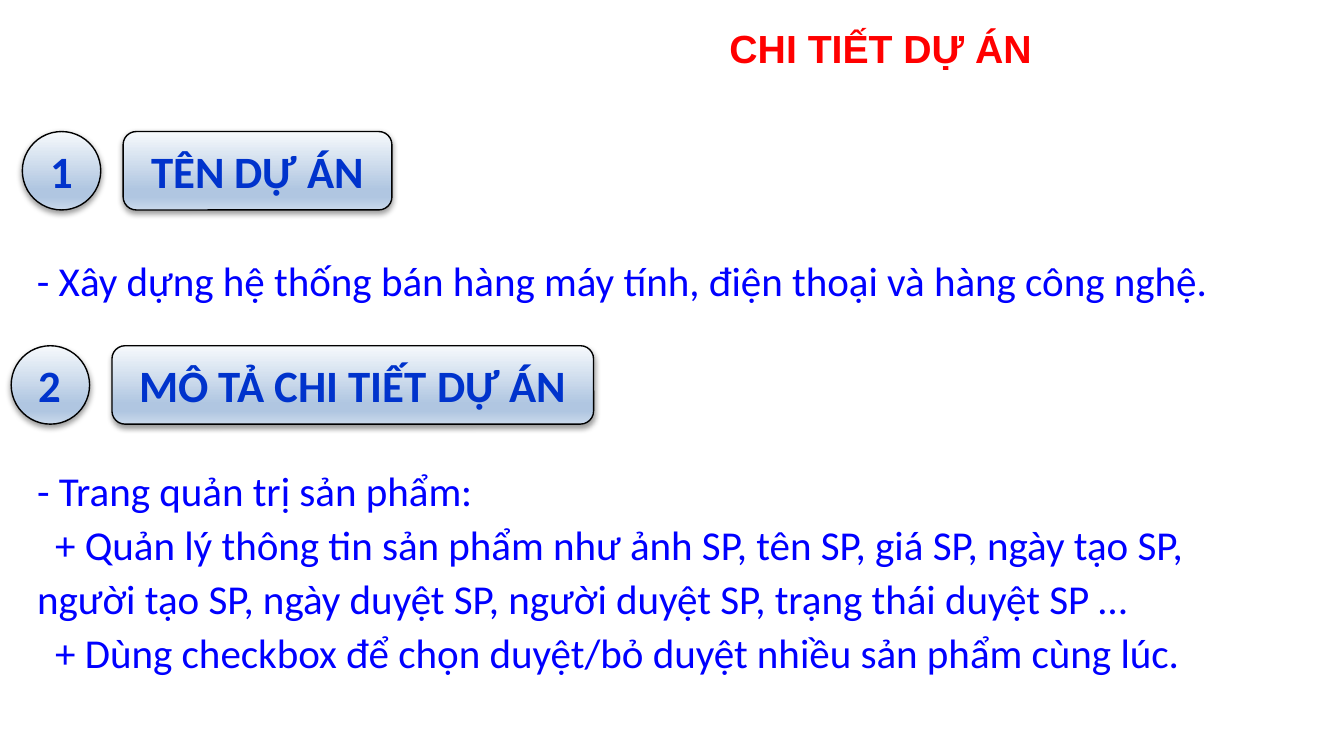
from lxml import etree
from pptx import Presentation
from pptx import util as u
from pptx.dml import color
from pptx.enum import shapes, text
from pptx.oxml import ns

PX = 9525
STOPS = [(0, "F6F9FC"), (74, "B0C6E1"), (83, "B0C6E1"), (100, "CAD9EB")]


def px(n):
    return u.Emu(n * PX)


def rgb(value):
    return color.RGBColor.from_string(value)


def add_element(parent, tag, **attrs):
    child = etree.SubElement(parent, ns.qn(tag))
    for name, value in attrs.items():
        child.set(name, str(value))
    return child


def style_runs(p, font, size, hue, bold=False):
    for r in p.runs:
        r.font.name = font
        r.font.size = u.Pt(size)
        r.font.bold = bold
        r.font.color.rgb = rgb(hue)


def set_gradient(s):
    s.fill.gradient()
    s.fill.gradient_angle = 270
    stops = s._element.spPr.find(ns.qn("a:gradFill")).find(ns.qn("a:gsLst"))
    for stop in list(stops):
        stops.remove(stop)
    for pos, hue in STOPS:
        stop = add_element(stops, "a:gs", pos=pos * 1000)
        add_element(stop, "a:srgbClr", val=hue)


def set_shadow(s):
    s.shadow.inherit = False
    effects = s._element.spPr.find(ns.qn("a:effectLst"))
    shadow = add_element(effects, "a:outerShdw", blurRad=u.Pt(3.1), dist=u.Pt(1.6),
                         dir=5400000, rotWithShape=0)
    hue = add_element(shadow, "a:srgbClr", val="000000")
    add_element(hue, "a:alpha", val=38000)


def add_badge(slide, kind, x, y, w, label):
    s = slide.shapes.add_shape(kind, px(x), px(y), px(w), px(56))
    set_gradient(s)
    s.line.color.rgb = rgb("000000")
    s.line.width = u.Pt(0.75)
    set_shadow(s)
    tf = s.text_frame
    tf.text = label
    tf.word_wrap = False
    tf.vertical_anchor = text.MSO_ANCHOR.MIDDLE
    p = tf.paragraphs[0]
    p.alignment = text.PP_ALIGN.CENTER
    style_runs(p, "Calibri", 24, "0033CC", True)


def add_heading(slide, x, y, w, number, label):
    add_badge(slide, shapes.MSO_SHAPE.ROUNDED_RECTANGLE, x + 72, y, w, label)
    add_badge(slide, shapes.MSO_SHAPE.OVAL, x, y, 56, number)


def add_body(slide, y, w, h, lines):
    tf = slide.shapes.add_textbox(px(-24), px(y), px(w), px(h)).text_frame
    tf.word_wrap = True
    tf.text = "\n".join(lines)
    for p in tf.paragraphs:
        indent = 13 if p.text.startswith("+") else 0
        p_pr = p._p.get_or_add_pPr()
        p_pr.set("marL", str(px(41)))
        p_pr.set("indent", str(px(indent)))
        p.line_spacing = 1.1
        style_runs(p, "Calibri", 22, "0000FF")


def add_title(slide, label):
    tf = slide.shapes.add_textbox(px(512), px(11), px(499), px(46)).text_frame
    tf.word_wrap = True
    tf.vertical_anchor = text.MSO_ANCHOR.MIDDLE
    tf.margin_left = tf.margin_right = px(9)
    tf.margin_top = tf.margin_bottom = px(4)
    tf.text = label
    style_runs(tf.paragraphs[0], "Arial", 21, "FF0000", True)


def main():
    prs = Presentation()
    prs.slide_width, prs.slide_height = px(960), px(540)
    slide = prs.slides.add_slide(prs.slide_layouts[6])
    add_body(slide, 174, 904, 49, [
        "- Xây dựng hệ thống bán hàng máy tính, điện thoại và hàng công nghệ.",
    ])
    add_heading(slide, 16, 94, 192, "1", "TÊN DỰ ÁN")
    add_title(slide, "CHI TIẾT DỰ ÁN")
    add_body(slide, 324, 944, 166, [
        "- Trang quản trị sản phẩm:",
        "+ Quản lý thông tin sản phẩm như ảnh SP, tên SP, giá SP, ngày tạo SP, "
        "người tạo SP, ngày duyệt SP, người duyệt SP, trạng thái duyệt SP …",
        "+ Dùng checkbox để chọn duyệt/bỏ duyệt nhiều sản phẩm cùng lúc.",
    ])
    add_heading(slide, 8, 247, 344, "2", "MÔ TẢ CHI TIẾT DỰ ÁN")
    prs.save("out.pptx")


if __name__ == "__main__":
    main()
